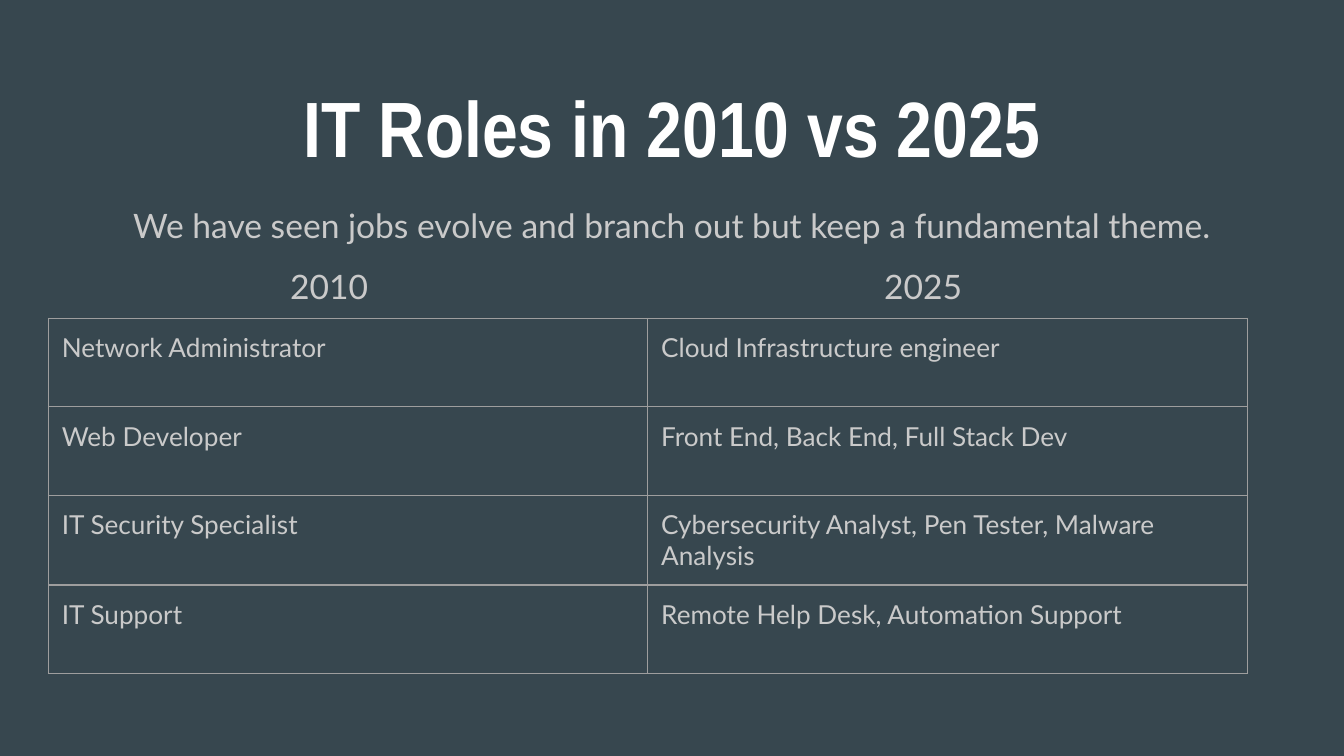
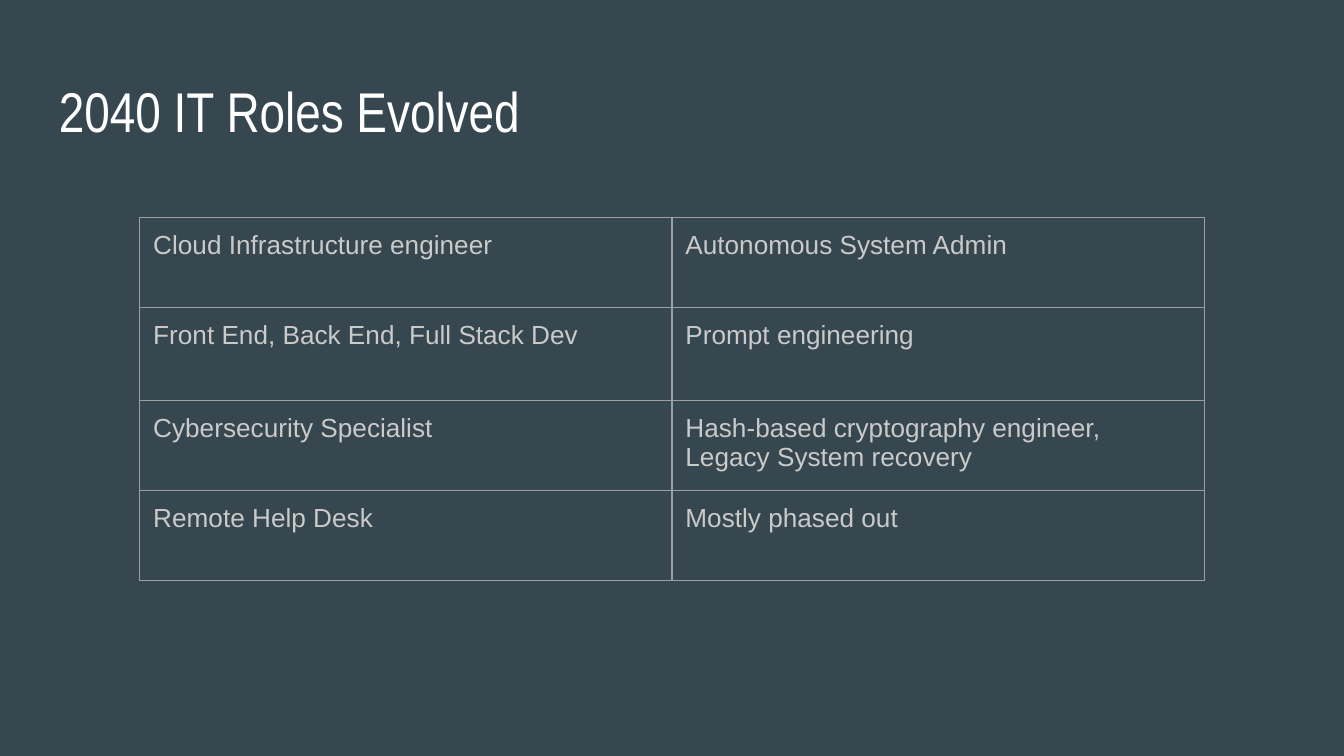
from dataclasses import dataclass

from lxml import etree
from pptx import Presentation
from pptx.dml.color import RGBColor
from pptx.enum import text
from pptx.oxml import ns
from pptx.slide import Slide
from pptx.table import _Cell
from pptx.util import Inches, Pt

COLORS = {"ground": "37474F", "title": "FFFFFF", "body": "CACACA", "border": "9E9E9E"}
SLIDE_WIDTH = Inches(10)
SLIDE_HEIGHT = SLIDE_WIDTH * 9 // 16
INSET = Inches(0.1)
BORDER_WIDTH = Pt(0.75)
LEFT, CENTER = text.PP_ALIGN.LEFT, text.PP_ALIGN.CENTER


@dataclass(frozen=True)
class Style:
    font: str
    size: float
    color: str = "body"
    bold: bool = False
    align: text.PP_ALIGN = LEFT
    line_spacing: float = 1.0
    space_after: float = 0


@dataclass(frozen=True)
class Label:
    words: str
    left: float
    top: float
    width: float
    height: float
    style: Style


@dataclass(frozen=True)
class RoleTable:
    left: float
    top: float
    column_width: float
    row_heights: tuple[float, ...]
    rows: tuple[tuple[str, str], ...]
    style: Style


@dataclass(frozen=True)
class RolePage:
    labels: tuple[Label, ...]
    table: RoleTable


MAIN_TITLE = Style("Arial Narrow", 42, "title", bold=True, align=CENTER)
PAGE_TITLE = Style("Arial Narrow", 30, "title")
SUBTITLE = Style("Lato", 18, align=CENTER, line_spacing=1.15, space_after=16)
YEAR = Style("Lato", 18)

PAGES = (
    RolePage(
        labels=(
            Label("IT Roles in 2010 vs 2025", 0.34, 0.49, 9.32, 0.63, MAIN_TITLE),
            Label(
                "We have seen jobs evolve and branch out but keep a fundamental theme.",
                0.34, 1.38, 9.32, 3.74, SUBTITLE,
            ),
            Label("2010", 2.06, 1.88, 2.18, 0.39, YEAR),
            Label("2025", 6.48, 1.88, 2.16, 0.39, YEAR),
        ),
        table=RoleTable(
            0.36, 2.37, 4.46, (2.63 / 4,) * 4,
            (
                ("Network Administrator", "Cloud Infrastructure engineer"),
                ("Web Developer", "Front End, Back End, Full Stack Dev"),
                ("IT Security Specialist", "Cybersecurity Analyst, Pen Tester, Malware Analysis"),
                ("IT Support", "Remote Help Desk, Automation Support"),
            ),
            Style("Lato", 14),
        ),
    ),
    RolePage(
        labels=(Label("2040 IT Roles Evolved", 0.34, 0.47, 9.32, 0.63, PAGE_TITLE),),
        table=RoleTable(
            1.04, 1.62, 3.96, (0.67, 0.69, 0.67, 0.67),
            (
                ("Cloud Infrastructure engineer", "Autonomous System Admin"),
                ("Front End, Back End, Full Stack Dev", "Prompt engineering"),
                ("Cybersecurity Specialist", "Hash-based cryptography engineer, Legacy System recovery"),
                ("Remote Help Desk", "Mostly phased out"),
            ),
            Style("Arial", 14),
        ),
    ),
)


def write(frame, words: str, style: Style) -> None:
    frame.word_wrap = True
    para = frame.paragraphs[0]
    para.text = words
    para.alignment = style.align
    para.line_spacing = style.line_spacing
    para.space_after = Pt(style.space_after)
    font = para.font
    font.name = style.font
    font.size = Pt(style.size)
    font.bold = style.bold
    font.color.rgb = RGBColor.from_string(COLORS[style.color])


def set_insets(target, inset: int) -> None:
    target.margin_left = target.margin_right = inset
    target.margin_top = target.margin_bottom = inset


def add_label(page: Slide, label: Label) -> None:
    box = page.shapes.add_textbox(
        Inches(label.left), Inches(label.top), Inches(label.width), Inches(label.height)
    )
    frame = box.text_frame
    set_insets(frame, INSET)
    frame.vertical_anchor = text.MSO_ANCHOR.TOP
    write(frame, label.words, label.style)


def add_borders(cell: _Cell) -> None:
    properties = cell._tc.get_or_add_tcPr()
    for position, side in enumerate(("lnL", "lnR", "lnT", "lnB")):
        line = etree.Element(ns.qn(f"a:{side}"), w=str(BORDER_WIDTH))
        fill = etree.SubElement(line, ns.qn("a:solidFill"))
        etree.SubElement(fill, ns.qn("a:srgbClr"), val=COLORS["border"])
        properties.insert(position, line)


def add_role_table(page: Slide, roles: RoleTable) -> None:
    columns = len(roles.rows[0])
    table = page.shapes.add_table(
        len(roles.rows), columns, Inches(roles.left), Inches(roles.top),
        Inches(roles.column_width * columns), Inches(sum(roles.row_heights)),
    ).table
    table.first_row = table.horz_banding = False
    for column in table.columns:
        column.width = Inches(roles.column_width)
    for row, height, entries in zip(table.rows, roles.row_heights, roles.rows):
        row.height = Inches(height)
        for cell, words in zip(row.cells, entries):
            set_insets(cell, INSET)
            cell.fill.background()
            add_borders(cell)
            write(cell.text_frame, words, roles.style)


def main() -> None:
    deck = Presentation()
    deck.slide_width, deck.slide_height = SLIDE_WIDTH, SLIDE_HEIGHT
    for content in PAGES:
        page = deck.slides.add_slide(deck.slide_layouts[6])
        ground = page.background.fill
        ground.solid()
        ground.fore_color.rgb = RGBColor.from_string(COLORS["ground"])
        for label in content.labels:
            add_label(page, label)
        add_role_table(page, content.table)
    deck.save("out.pptx")


if __name__ == "__main__":
    main()
